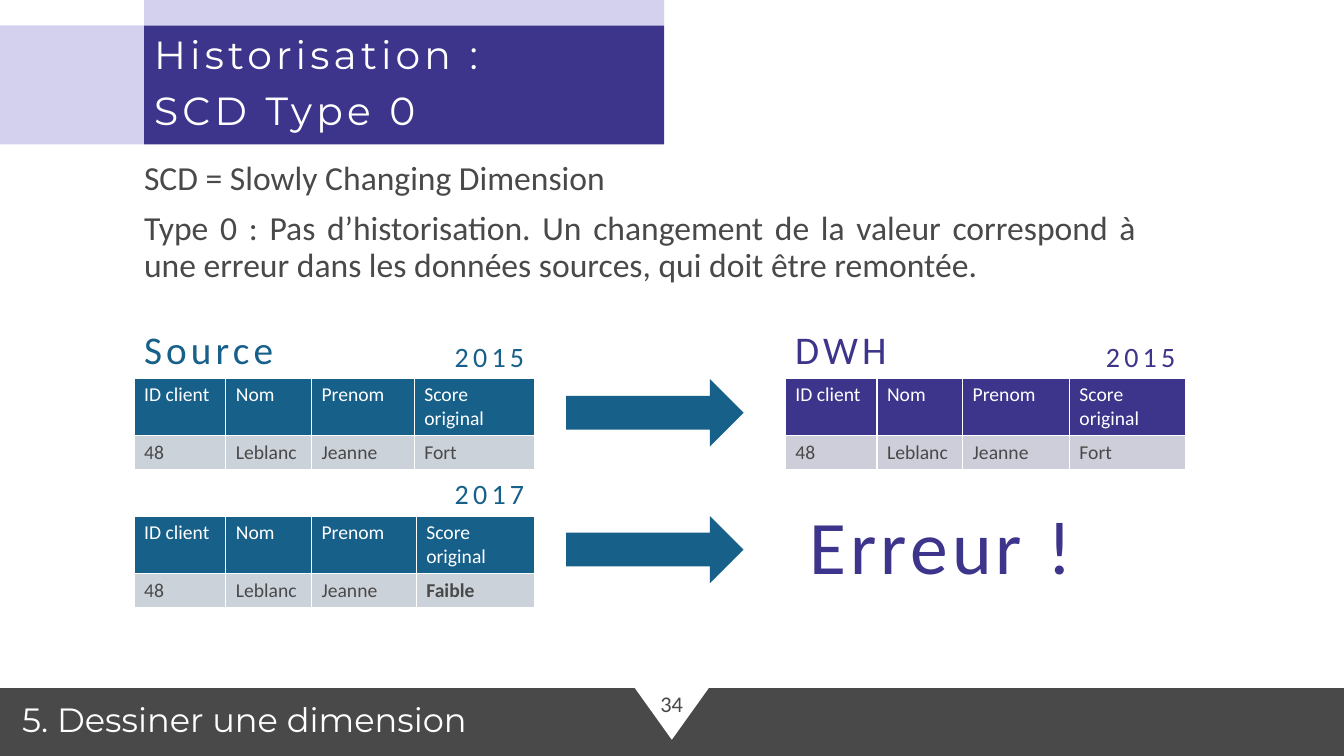
from lxml.etree import SubElement
from pptx import Presentation
from pptx.dml.color import RGBColor
from pptx.enum.shapes import MSO_SHAPE as Preset
from pptx.enum.text import MSO_ANCHOR as Anchor, MSO_AUTO_SIZE as AutoSize, PP_ALIGN as Align
from pptx.oxml.ns import qn
from pptx.util import Cm, Pt

WHITE = RGBColor(0xFF, 0xFF, 0xFF)
GREY = RGBColor(0x4A, 0x49, 0x49)
PURPLE = RGBColor(0x3D, 0x34, 0x8B)
LILAC = RGBColor(0xD4, 0xD1, 0xEE)
BLUE = RGBColor(0x16, 0x60, 0x8A)
PALE_BLUE = RGBColor(0xCC, 0xD2, 0xDA)
PALE_PURPLE = RGBColor(0xCE, 0xCE, 0xDA)


def add_block(preset, left, top, width, height, color):
    shape = slide.shapes.add_shape(preset, Cm(left), Cm(top), Cm(width), Cm(height))
    shape.shadow.inherit = False
    shape.fill.solid()
    shape.fill.fore_color.rgb = color
    shape.line.fill.background()
    return shape


def add_label(text, left, top, width, height, size, color, align=Align.LEFT, spacing=300, font="Calibri"):
    box = slide.shapes.add_textbox(Cm(left), Cm(top), Cm(width), Cm(height))
    box.text_frame.word_wrap = True
    box.text_frame.vertical_anchor = Anchor.MIDDLE
    paragraph = box.text_frame.paragraphs[0]
    paragraph.text = text
    paragraph.alignment = align
    paragraph.line_spacing = 0.9
    paragraph.font.name = font
    paragraph.font.size = Pt(size)
    paragraph.font.color.rgb = color
    if spacing:
        paragraph.runs[0]._r.get_or_add_rPr().set("spc", str(spacing))
    return box


presentation = Presentation()
presentation.slide_width = Cm(33.87)
presentation.slide_height = Cm(19.05)
slide = presentation.slides.add_slide(presentation.slide_layouts[1])

add_block(Preset.RECTANGLE, 0, 17.34, 33.87, 1.71, GREY)
marker = add_block(Preset.ISOSCELES_TRIANGLE, 16, 17.34, 1.86, 1.3, WHITE)
marker.rotation = 180
add_label("34", 13.79, 17.34, 6.27, 0.86, 16, GREY, Align.CENTER, 0)
section = add_label("5. Dessiner une dimension", 0, 17.32, 16.74, 1.73, 24, WHITE, spacing=0, font="Montserrat")
section.text_frame.margin_left = Cm(0.56)
add_block(Preset.RECTANGLE, 0, 0.64, 3.63, 3, LILAC)
add_block(Preset.RECTANGLE, 3.63, 0, 13.11, 0.64, LILAC)

title = slide.shapes.title
title.left, title.top, title.width, title.height = Cm(3.63), Cm(0.64), Cm(13.11), Cm(3)
title.fill.solid()
title.fill.fore_color.rgb = PURPLE
title.text_frame.text = "Historisation :\nSCD Type 0"
title.text_frame.auto_size = AutoSize.NONE
title.text_frame.vertical_anchor = Anchor.MIDDLE
for paragraph in title.text_frame.paragraphs:
    paragraph.alignment = Align.LEFT
    paragraph.font.name = "Montserrat"
    paragraph.font.size = Pt(28)
    paragraph.font.color.rgb = WHITE
    paragraph.runs[0]._r.get_or_add_rPr().set("spc", "300")

body = slide.placeholders[1]
body.left, body.top, body.width, body.height = Cm(3.63), Cm(3.94), Cm(25), Cm(13.4)
body.text_frame.text = (
    "SCD = Slowly Changing Dimension\n"
    "Type 0 : Pas d’historisation. Un changement de la valeur correspond à "
    "une erreur dans les données sources, qui doit être remontée."
)
body.text_frame.auto_size = AutoSize.NONE
body.text_frame.margin_left = body.text_frame.margin_right = 0
for paragraph in body.text_frame.paragraphs:
    properties = paragraph._p.get_or_add_pPr()
    properties.set("marL", "0")
    properties.set("indent", "0")
    SubElement(properties, qn("a:buNone"))
    paragraph.alignment = Align.JUSTIFY
    paragraph.font.name = "Calibri"
    paragraph.font.size = Pt(24)
    paragraph.font.color.rgb = GREY

for frame in (title.text_frame, body.text_frame):
    for index, paragraph in enumerate(frame.paragraphs):
        paragraph.line_spacing = 0.9
        paragraph.space_before = Pt(10 if index else 0)

add_label("Source", 3.38, 8.2, 4.42, 1.35, 28, BLUE)
add_label("DWH", 19.79, 8.2, 8.08, 1.35, 28, PURPLE)
add_label("Erreur !", 19.56, 12.7, 8.31, 2.34, 54, PURPLE, Align.CENTER)

headings = ["ID client", "Nom", "Prenom", "Score original"]
client_tables = [
    (3.38, 9.53, "2015", "Fort", (2.31, 2.16, 2.59, 3.02), BLUE, PALE_BLUE),
    (3.38, 13, "2017", "Faible", (2.31, 2.16, 2.64, 2.97), BLUE, PALE_BLUE),
    (19.79, 9.53, "2015", "Fort", (2.31, 2.16, 2.69, 2.92), PURPLE, PALE_PURPLE),
]
for left, top, year, score, widths, dark, pale in client_tables:
    add_label(year, left + 4.42, top - 1.02, 5.66, 1.02, 20, dark, Align.RIGHT)
    table = slide.shapes.add_table(2, 4, Cm(left), Cm(top), Cm(10.08), Cm(2.3)).table
    table.rows[0].height, table.rows[1].height = Cm(1.45), Cm(0.85)
    for column, width in zip(table.columns, widths):
        column.width = Cm(width)
    rows = [(headings, dark, WHITE), (["48", "Leblanc", "Jeanne", score], pale, GREY)]
    for row, (values, fill, color) in enumerate(rows):
        for column, value in enumerate(values):
            cell = table.cell(row, column)
            for side in ("lnL", "lnR", "lnT", "lnB"):
                border = SubElement(cell._tc.get_or_add_tcPr(), qn(f"a:{side}"), w=str(Pt(1)))
                solid = SubElement(border, qn("a:solidFill"))
                SubElement(solid, qn("a:srgbClr"), val=str(WHITE))
            cell.fill.solid()
            cell.fill.fore_color.rgb = fill
            cell.text = value
            paragraph = cell.text_frame.paragraphs[0]
            paragraph.font.name = "Calibri"
            paragraph.font.size = Pt(14)
            paragraph.font.bold = value == "Faible"
            paragraph.font.color.rgb = color

for top in (9.55, 13):
    add_block(Preset.RIGHT_ARROW, 14.27, top, 4.47, 1.7, BLUE)

presentation.save("out.pptx")
